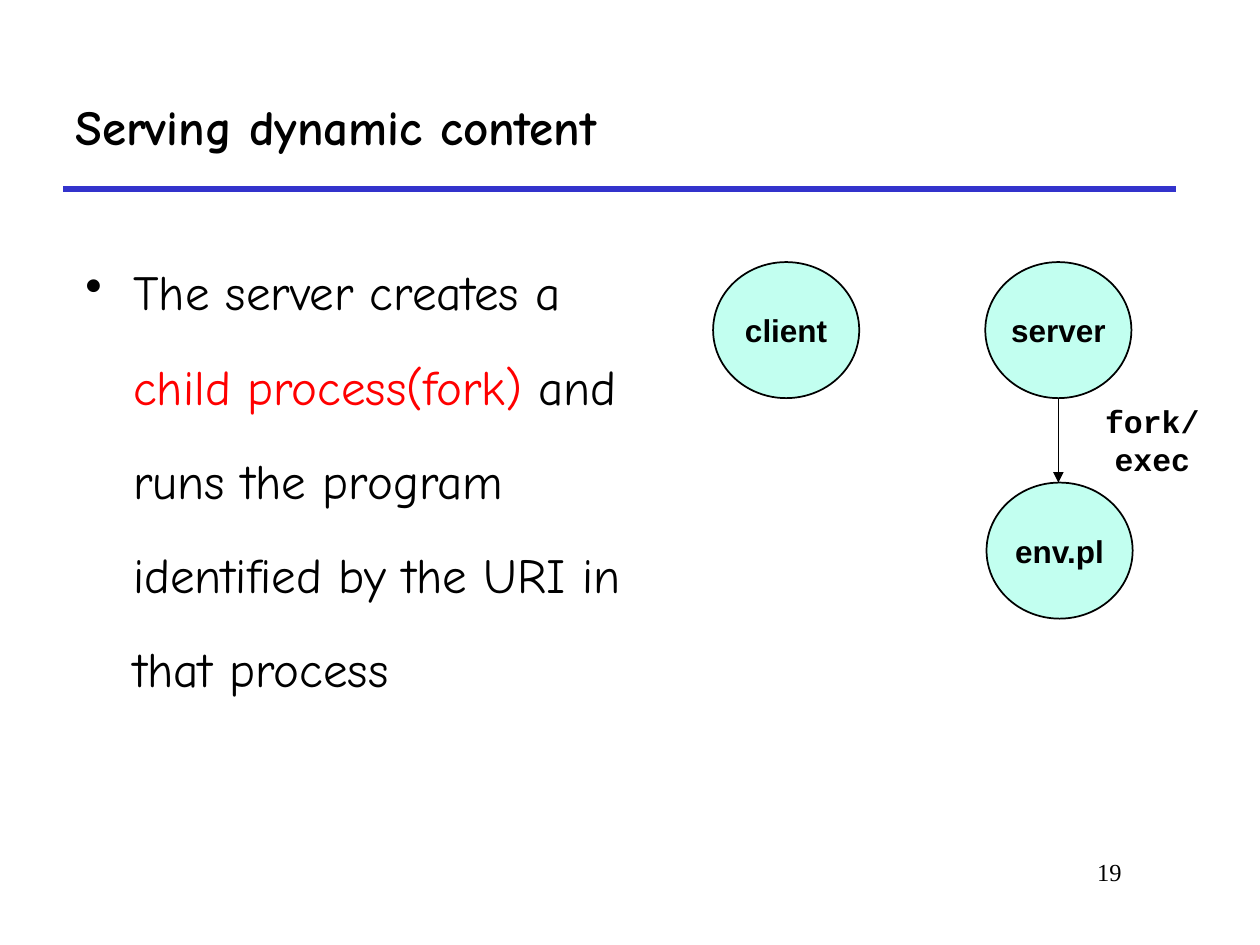
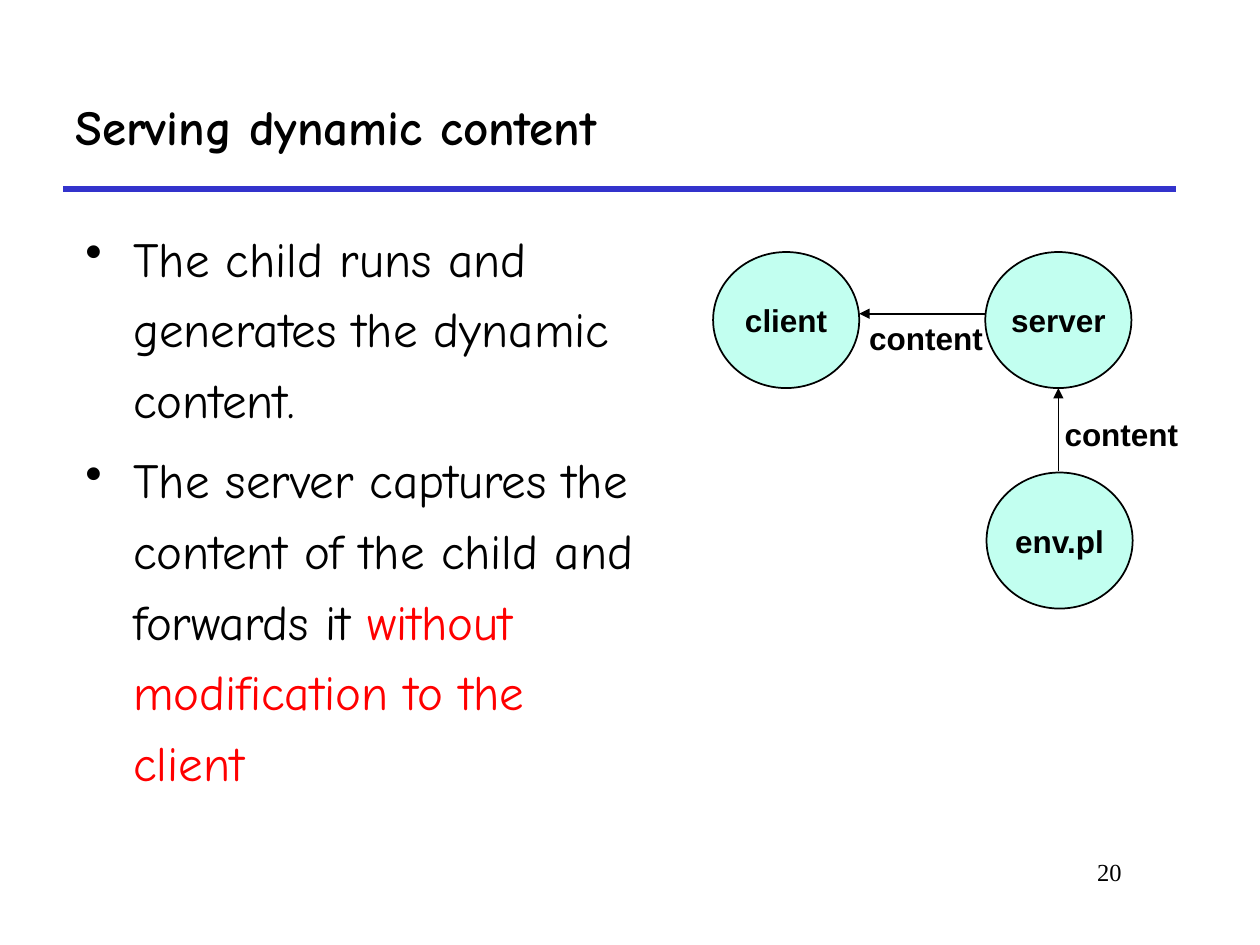
from dataclasses import dataclass

from lxml.etree import SubElement
from pptx import Presentation
from pptx.dml.color import RGBColor
from pptx.enum.shapes import MSO_CONNECTOR as Connector, MSO_SHAPE as Shape
from pptx.enum.text import MSO_ANCHOR as Anchor, PP_ALIGN as Align
from pptx.oxml.ns import qn
from pptx.slide import Slide
from pptx.text.text import TextFrame
from pptx.util import Inches, Pt

BLACK, RED, BLUE, MINT, WHITE = "000000", "FF0000", "3333CC", "C2FFF0", "FFFFFF"
BODY_FONT, LABEL_FONT, CODE_FONT, NUMBER_FONT = "Comic Neue", "Arial", "Courier New", "Times New Roman"
TITLE = "Serving dynamic content"
NODE_WIDTH, NODE_HEIGHT = 1.16, 1.08
NODES = {"client": (5.66, 0), "server": (7.82, 0), "env.pl": (7.83, 1.75)}


@dataclass(frozen=True)
class Span:
    text: str
    color: str = BLACK


@dataclass(frozen=True)
class Arrow:
    start: tuple[float, float]
    end: tuple[float, float]


@dataclass(frozen=True)
class Label:
    text: str
    left: float
    top: float
    width: float
    height: float = 0.4
    font: str = LABEL_FONT
    wrap: bool = False


@dataclass(frozen=True)
class Content:
    number: int
    body_top: float
    body_width: float
    line_spacing: float
    bullets: list[list[Span]]
    nodes_top: float
    arrows: list[Arrow]
    labels: list[Label]


def rgb(color: str) -> RGBColor:
    return RGBColor.from_string(color)


def write(frame: TextFrame, paragraphs: list[list[Span]], *, font: str, size: float,
          bold: bool = False, align: Align = Align.LEFT, anchor: Anchor = Anchor.TOP,
          wrap: bool = True, spacing: float = 1.0, bullet: str = "") -> None:
    frame.word_wrap = wrap
    frame.vertical_anchor = anchor
    for index, spans in enumerate(paragraphs):
        para = frame.add_paragraph() if index else frame.paragraphs[0]
        para.alignment = align
        para.line_spacing = spacing
        if bullet:
            para.space_before = Pt(size * 0.2)
            properties = para._p.get_or_add_pPr()
            properties.set("marL", str(Inches(0.38)))
            properties.set("indent", str(Inches(-0.38)))
            SubElement(properties, qn("a:buChar")).set("char", bullet)
        for span in spans:
            run = para.add_run()
            run.text = span.text
            run.font.name = font
            run.font.size = Pt(size)
            run.font.bold = bold
            run.font.color.rgb = rgb(span.color)


def add_text(page: Slide, left: float, top: float, width: float, height: float,
             paragraphs: list[list[Span]], **style) -> None:
    box = page.shapes.add_textbox(Inches(left), Inches(top), Inches(width), Inches(height))
    write(box.text_frame, paragraphs, **style)


def add_line(page: Slide, start: tuple[float, float], end: tuple[float, float],
             color: str = BLACK, width: float = 1, arrow: bool = False) -> None:
    line = page.shapes.add_connector(Connector.STRAIGHT, *map(Inches, start + end))
    line.line.color.rgb = rgb(color)
    line.line.width = Pt(width)
    if arrow:
        SubElement(line.line._get_or_add_ln(), qn("a:tailEnd")).set("type", "triangle")
    SubElement(line._element.spPr, qn("a:effectLst"))


def add_node(page: Slide, name: str, left: float, top: float) -> None:
    node = page.shapes.add_shape(Shape.OVAL, Inches(left), Inches(top),
                                 Inches(NODE_WIDTH), Inches(NODE_HEIGHT))
    node.shadow.inherit = False
    node.fill.solid()
    node.fill.fore_color.rgb = rgb(MINT)
    node.line.color.rgb = rgb(BLACK)
    node.line.width = Pt(1)
    write(node.text_frame, [[Span(name)]], font=LABEL_FONT, size=18, bold=True,
          align=Align.CENTER, anchor=Anchor.MIDDLE, wrap=False)


def add_page(deck: Presentation, content: Content) -> None:
    page = deck.slides.add_slide(deck.slide_layouts[6])
    page.background.fill.solid()
    page.background.fill.fore_color.rgb = rgb(WHITE)
    add_line(page, (0.5, 1.5), (9.33, 1.5), color=BLUE, width=3)
    add_text(page, 7.58, 6.75, 1.42, 0.5, [[Span(str(content.number))]],
             font=NUMBER_FONT, size=14, align=Align.RIGHT)
    add_text(page, 0.58, content.body_top, content.body_width, 6.67 - content.body_top,
             content.bullets, font=BODY_FONT, size=28, spacing=content.line_spacing, bullet="•")
    for name, (left, drop) in NODES.items():
        add_node(page, name, left, content.nodes_top + drop)
    for arrow in content.arrows:
        add_line(page, arrow.start, arrow.end, arrow=True)
    for label in content.labels:
        add_text(page, label.left, label.top, label.width, label.height, [[Span(label.text)]],
                 font=label.font, size=18, bold=True, align=Align.CENTER,
                 anchor=Anchor.MIDDLE, wrap=label.wrap)
    add_text(page, 0.5, 0.5, 8.83, 1, [[Span(TITLE)]], font=BODY_FONT, size=28,
             bold=True, anchor=Anchor.MIDDLE)


PAGES = [
    Content(
        number=19, body_top=1.75, body_width=4.75, line_spacing=1.6,
        bullets=[[Span("The server creates a "), Span("child process(fork)", RED),
                  Span(" and runs the program identified by the URI in that process")]],
        nodes_top=2.08,
        arrows=[Arrow((8.4, 3.16), (8.4, 3.83))],
        labels=[Label("fork/exec", 8.62, 3.16, 1.05, 0.66, CODE_FONT, wrap=True)],
    ),
    Content(
        number=20, body_top=1.67, body_width=4.67, line_spacing=1.2,
        bullets=[[Span("The child runs and generates the dynamic content.")],
                 [Span("The server captures the content of the child and forwards it "),
                  Span("without modification to the client", RED)]],
        nodes_top=2,
        arrows=[Arrow((8.4, 3.74), (8.4, 3.08)), Arrow((7.82, 2.49), (6.82, 2.49))],
        labels=[Label("content", 8.35, 3.24, 1.1), Label("content", 6.8, 2.48, 1.1)],
    ),
]


def main() -> None:
    deck = Presentation()
    deck.slide_width, deck.slide_height = Inches(10), Inches(7.5)
    for content in PAGES:
        add_page(deck, content)
    deck.save("out.pptx")


if __name__ == "__main__":
    main()
